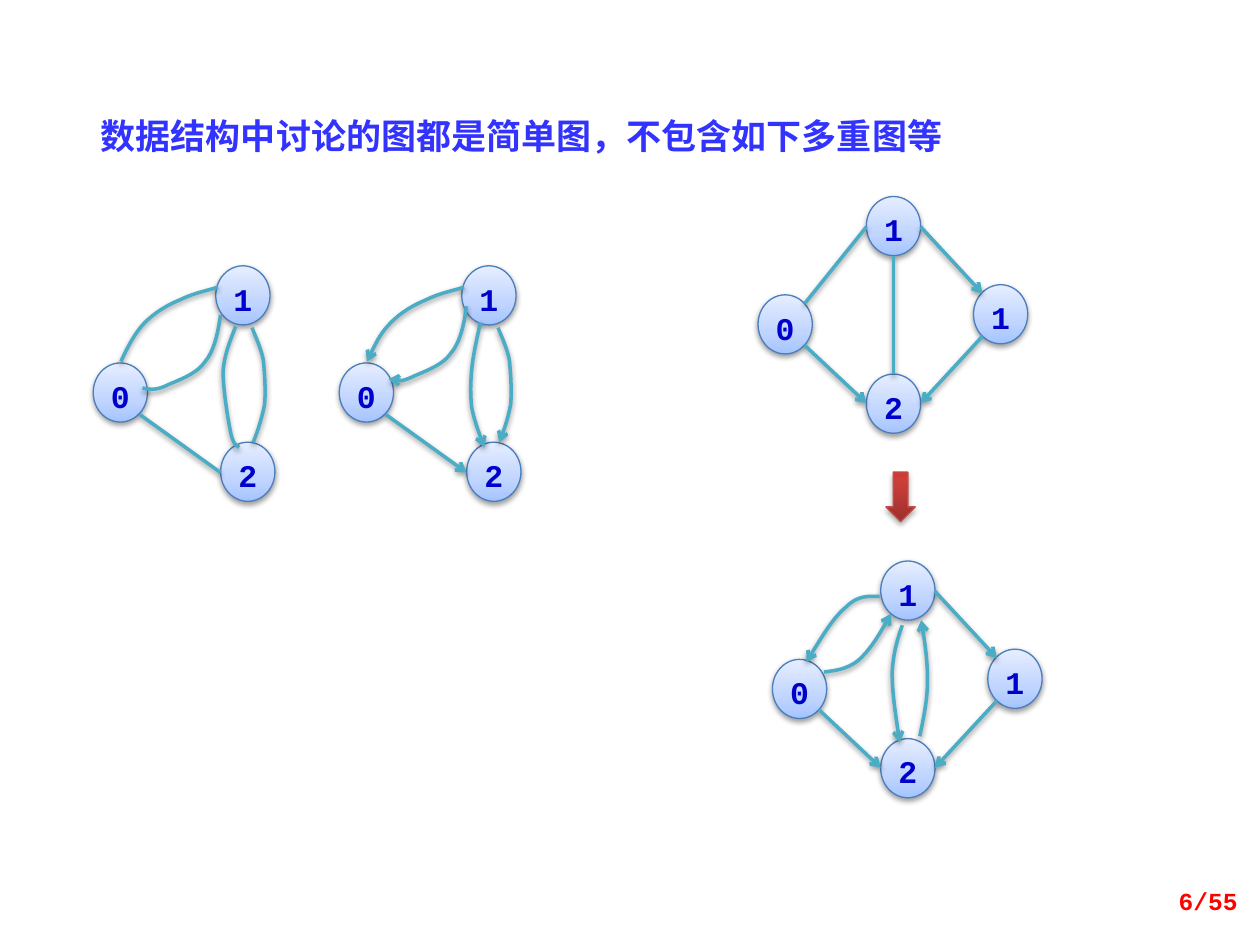
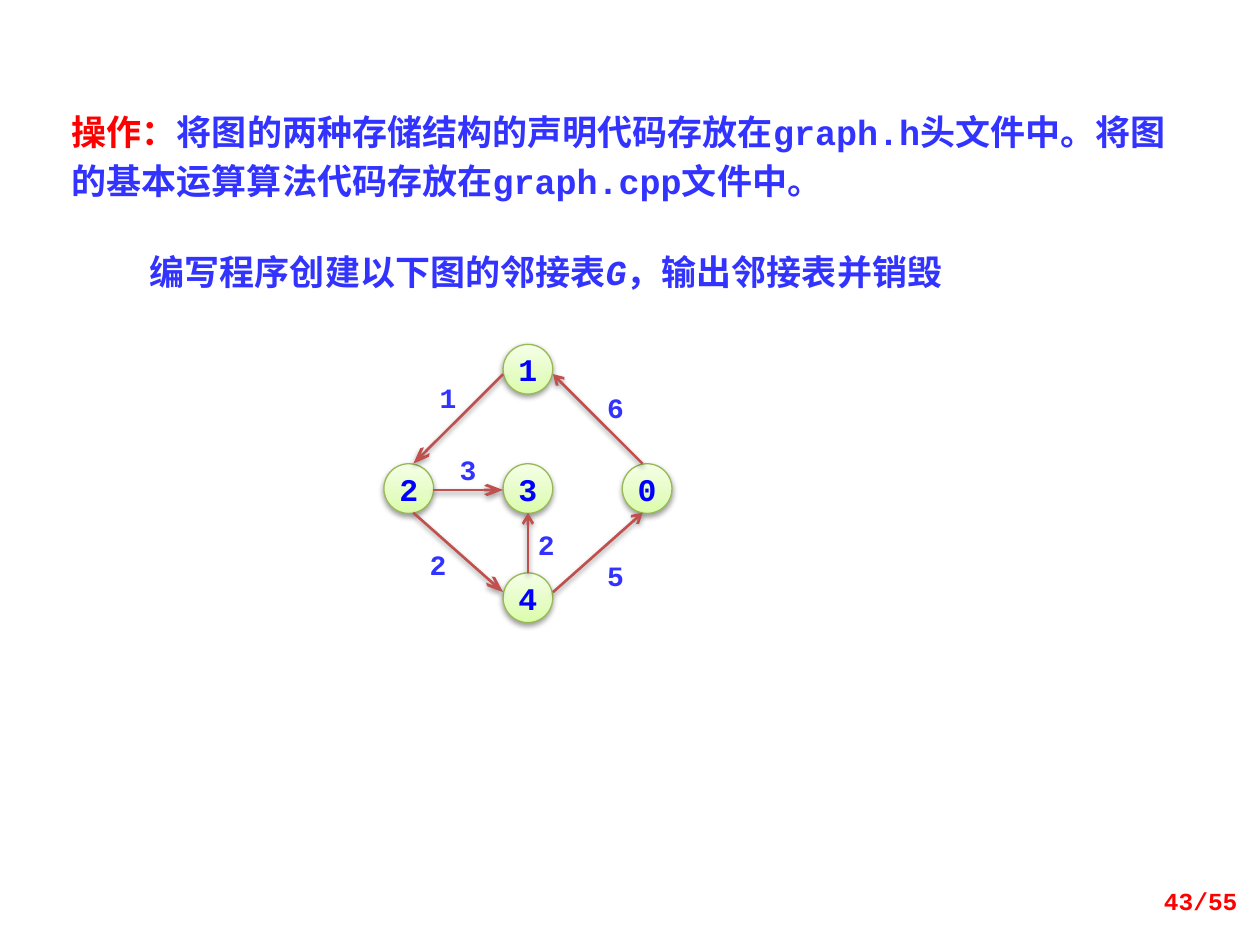
"""Build two slides on graphs: multigraphs to exclude, and an adjacency-list exercise."""
import pptx
import pptx.util
import pptx.dml.color
import pptx.enum.shapes
import pptx.enum.text
import pptx.oxml.ns
import lxml.etree

Pt = pptx.util.Pt
qn = pptx.oxml.ns.qn
ALIGN = pptx.enum.text.PP_ALIGN
ANCHOR = pptx.enum.text.MSO_ANCHOR
SHAPE = pptx.enum.shapes.MSO_SHAPE

COLORS = {
    "text": "3333FF", "accent": "FF0000", "shadow": "000000",
    "blue_label": "0000CC", "blue_outline": "4B7EBC", "edge": "4BACC6",
    "green_label": "0000FF", "green_outline": "98B955", "weighted_edge": "C0504D",
    "arrow_outline": "BF4C48",
}
GRADIENTS = {
    "blue": ((0, "A4C4FF"), (35, "BFD4FF"), (100, "E6EEFF")),
    "green": ((0, "DAFDA7"), (35, "E4FCC2"), (100, "F5FFE7")),
    "red": ((0, "9C2F2D"), (80, "CB3E3A"), (100, "CE3B37")),
}
MONO = "Courier New"
CJK = "Noto Sans CJK SC"

TRIANGLE = (("0", 0, 55.5), ("1", 70, 0), ("2", 72.8, 100.8))
DIAMOND = (("0", 0, 56.2), ("1", 61.9, 0), ("2", 61.9, 101.5), ("1", 123.1, 50.4))

UPPER_CURVE = ((15.8, 54.7), (19.4, 46.8), (23.8, 38.2), (29.5, 32.4), (35.3, 26.6),
               (42.5, 22.3), (49.7, 19.4), (56.9, 15.8), (64.1, 14.4), (71.3, 12.2))
LOWER_CURVE = ((72.7, 28.1), (71.3, 38.2), (69.1, 49), (63.4, 55.4), (58.3, 62.6),
               (46.1, 66.2), (40.3, 69.1), (34.6, 71.3), (31, 70.6), (28.1, 69.8))
RIGHT_CURVE = ((90.7, 35.3), (92.9, 41), (95.8, 46.8), (97.2, 54), (97.9, 61.2),
               (98.6, 71.3), (97.9, 79.2), (96.5, 86.4), (94.3, 93.6), (91.4, 100.8))
PLAIN_LEFT_CURVE = ((81.4, 34.6), (78.5, 42.5), (74.9, 50.4), (74.2, 60.5), (74.2, 70.6),
                    (77, 87.8), (78.5, 95), (79.9, 102.2), (82.1, 103), (83.5, 103.7))
DIRECTED_LEFT_CURVE = ((80.6, 32.4), (78.5, 41.8), (76.3, 51.8), (75.6, 59.8), (74.9, 67.7),
                       (74.9, 73.4), (75.6, 80.6), (77, 87.8), (79.9, 95.8), (82.8, 103.7))
PAIRED_CURVES = (
    ((61.2, 20.2), (55.4, 20.2), (49, 19.4), (42.5, 25.9), (35.3, 31.7), (27.4, 44.6), (19.4, 57.6)),
    ((29.5, 63.4), (36, 62.6), (42.5, 61.9), (49, 56.9), (55.4, 51.1), (61.9, 41), (67.7, 30.2)),
    ((74.2, 36.7), (71.3, 44.6), (69.1, 52.6), (68.4, 63.4), (68.4, 74.9), (70.6, 89.3), (72.7, 103.7)),
    ((84.2, 100.1), (86.4, 89.3), (88.6, 79.2), (88.6, 68.4), (88.6, 57.6), (87.1, 46.1), (85, 33.8)),
)
TRIANGLE_BASE = ((26.6, 85), (72.7, 118.1))
DIAMOND_ARROWS = (((26.6, 85), (61.9, 118.1)), ((128.2, 79.9), (92.9, 118.1)),
                  ((92.9, 17.3), (128.2, 55.4)))
DIAMOND_PLAIN = (((26.6, 61.2), (61.9, 17.3)), ((77.4, 33.8), (77.4, 101.5)))


def rgb(name):
    """Return the named colour."""
    return pptx.dml.color.RGBColor.from_string(COLORS[name])


def shift(points, origin):
    """Move points by the origin."""
    return [(x + origin[0], y + origin[1]) for x, y in points]


def add_xml(parent, tag, **attributes):
    """Append a DrawingML element with the given attributes."""
    element = lxml.etree.SubElement(parent, qn("a:" + tag))
    for key, value in attributes.items():
        element.set(key, str(value))
    return element


def add_color(parent, value):
    """Append a colour element."""
    return add_xml(parent, "srgbClr", val=value)


def add_shadow(part, opacity=38, distance=1.57):
    """Give a shape or connector a soft shadow below."""
    effects = add_xml(part.element.spPr, "effectLst")
    shadow = add_xml(effects, "outerShdw", blurRad=Pt(3.15), dist=Pt(distance),
                     dir=5400000, rotWithShape=0)
    add_xml(add_color(shadow, COLORS["shadow"]), "alpha", val=opacity * 1000)


def fill_gradient(shape, stops):
    """Fill a shape with upward gradient stops."""
    shape.fill.gradient()
    shape.fill.gradient_angle = 90
    stop_list = shape.element.spPr.find(".//" + qn("a:gsLst"))
    for old_stop in list(stop_list):
        stop_list.remove(old_stop)
    for position, value in stops:
        add_color(add_xml(stop_list, "gs", pos=position * 1000), value)


def style_run(run, size, color, font=MONO, bold=True, italic=False):
    """Format a run, with the shared East Asian font."""
    run.font.size = Pt(size)
    run.font.bold = bold
    run.font.italic = italic
    run.font.color.rgb = rgb(color)
    run.font.name = font
    add_xml(run._r.get_or_add_rPr(), "ea", typeface=CJK)


def write_line(frame, text, size, color, font=MONO, align=ALIGN.LEFT):
    """Write one formatted paragraph."""
    frame.text = text
    paragraph = frame.paragraphs[0]
    paragraph.alignment = align
    style_run(paragraph.runs[0], size, color, font)
    return paragraph


def append_run(paragraph, text, size, color, **style):
    """Add a formatted run to a paragraph."""
    run = paragraph.add_run()
    run.text = text
    style_run(run, size, color, **style)


def add_label(slide, box, text, size, color, align, font=MONO, anchor=ANCHOR.TOP):
    """Add a wrapping text box and return its paragraph."""
    frame = slide.shapes.add_textbox(*map(Pt, box)).text_frame
    frame.word_wrap = True
    frame.vertical_anchor = anchor
    return write_line(frame, text, size, color, font, align)


def add_heading(slide, box, text, color, font=MONO):
    """Place the title placeholder and return its paragraph."""
    title = slide.shapes.title
    title.left, title.top, title.width, title.height = map(Pt, box)
    frame = title.text_frame
    frame.word_wrap = True
    frame.auto_size = pptx.enum.text.MSO_AUTO_SIZE.NONE
    frame.vertical_anchor = ANCHOR.TOP
    return write_line(frame, text, 20, color, font)


def add_page_number(slide, number):
    """Add the page number at the lower right."""
    add_label(slide, (546.5, 500.4, 167.8, 28.8), f"{number}/55", 14, "accent",
              ALIGN.RIGHT, anchor=ANCHOR.MIDDLE)


def add_solid(slide, kind, box, gradient, outline, **shadow):
    """Add a gradient-filled shape with an outline and shadow."""
    shape = slide.shapes.add_shape(kind, *map(Pt, box))
    fill_gradient(shape, GRADIENTS[gradient])
    shape.line.color.rgb = rgb(outline)
    shape.line.width = Pt(0.75)
    add_shadow(shape, **shadow)
    return shape


def add_blue_node(slide, label, x, y):
    """Add a vertex of a multigraph."""
    node = add_solid(slide, SHAPE.OVAL, (x, y, 31, 33.8), "blue", "blue_outline")
    frame = node.text_frame
    frame.margin_left = frame.margin_right = frame.margin_bottom = 0
    frame.margin_top = Pt(8.5)
    frame.vertical_anchor = ANCHOR.TOP
    write_line(frame, label, 18, "blue_label", align=ALIGN.CENTER).line_spacing = 0.72


def add_green_node(slide, label, x, y):
    """Add a vertex of the weighted graph."""
    node = add_solid(slide, SHAPE.OVAL, (x, y, 28.4, 28.4), "green", "green_outline")
    frame = node.text_frame
    frame.word_wrap = False
    frame.vertical_anchor = ANCHOR.MIDDLE
    write_line(frame, label, 18, "green_label", align=ALIGN.CENTER)


def style_edge(edge, color, width, arrow, length="med"):
    """Set an edge's colour, width, arrowhead and shadow."""
    edge.line.color.rgb = rgb(color)
    edge.line.width = Pt(width)
    if arrow:
        add_xml(edge.line._get_or_add_ln(), "tailEnd", type="arrow", w="med", len=length)
    add_shadow(edge)


def add_edge(slide, ends, arrow=True, color="edge", width=2, length="med"):
    """Add a straight edge."""
    (x1, y1), (x2, y2) = ends
    edge = slide.shapes.add_connector(pptx.enum.shapes.MSO_CONNECTOR.STRAIGHT,
                                      Pt(x1), Pt(y1), Pt(x2), Pt(y2))
    style_edge(edge, color, width, arrow, length)


def add_curve(slide, points, arrow=True):
    """Add a curved edge from a start point and triples of Bezier points."""
    start, *rest = [(Pt(x), Pt(y)) for x, y in points]
    builder = slide.shapes.build_freeform(*start)
    builder.add_line_segments(rest, close=False)
    edge = builder.convert_to_shape()
    outline = edge.element.spPr.find(".//" + qn("a:path"))
    segments = outline.findall(qn("a:lnTo"))
    for first in range(0, len(segments), 3):
        bezier = add_xml(outline, "cubicBezTo")
        for segment in segments[first:first + 3]:
            bezier.append(segment[0])
            outline.remove(segment)
    edge.fill.background()
    style_edge(edge, "edge", 2, arrow)


def add_graph(slide, origin, nodes, plain=(), arrows=()):
    """Add a graph whose edges are lines of two points or longer curves."""
    for label, x, y in nodes:
        add_blue_node(slide, label, x + origin[0], y + origin[1])
    for edges, arrow in ((plain, False), (arrows, True)):
        for points in edges:
            draw = add_edge if len(points) == 2 else add_curve
            draw(slide, shift(points, origin), arrow)


def build_multigraphs(slide):
    """Build the slide of excluded multigraphs."""
    add_heading(slide, (50.4, 61.9, 534.2, 31.7),
                "数据结构中讨论的图都是简单图，不包含如下多重图等", "text", CJK)
    add_graph(slide, (53.3, 151.9), TRIANGLE,
              plain=(LOWER_CURVE, UPPER_CURVE, PLAIN_LEFT_CURVE, RIGHT_CURVE, TRIANGLE_BASE))
    add_graph(slide, (193.9, 151.9), TRIANGLE,
              arrows=(UPPER_CURVE[::-1], shift(LOWER_CURVE, (0, -5)), RIGHT_CURVE,
                      TRIANGLE_BASE, DIRECTED_LEFT_CURVE))
    add_graph(slide, (433.2, 112.3), DIAMOND, DIAMOND_PLAIN, DIAMOND_ARROWS)
    add_solid(slide, SHAPE.DOWN_ARROW, (506.2, 269.8, 16.8, 28.3), "red", "arrow_outline",
              opacity=35, distance=1.81)
    add_graph(slide, (441.4, 320.6), DIAMOND, arrows=DIAMOND_ARROWS + PAIRED_CURVES)
    add_page_number(slide, 6)


def build_exercise(slide):
    """Build the adjacency-list exercise slide."""
    left, middle, right = (219.4 + 68.1 * column for column in range(3))
    for label, x, y in (("1", middle, 196.8), ("3", middle, 265), ("2", left, 265),
                        ("0", right, 265), ("4", middle, 327.4)):
        add_green_node(slide, label, x, y)
    for ends, length in ((((287.5, 213.8), (236.2, 265)), "lg"),
                         (((247.7, 280), (287.5, 280)), "lg"),
                         (((236.2, 293), (287.5, 338.4)), "lg"),
                         (((367.2, 265), (316, 213.8)), "med"),
                         (((301.7, 327.4), (301.7, 293)), "med"),
                         (((316, 338.4), (367.2, 293)), "med")):
        add_edge(slide, ends, color="weighted_edge", width=1.5, length=length)
    for weight, x, y in (("1", 241.9, 213.8), ("3", 253.4, 254.9), ("2", 236.2, 309.6),
                         ("2", 298.1, 298.1), ("5", 337.7, 315.4), ("6", 337.7, 219.6)):
        add_label(slide, (x, y, 28.1, 26.6), weight, 16, "text", ALIGN.CENTER)

    task = add_heading(slide, (33.8, 55.4, 652.3, 64.1), "操作：", "accent")
    task.line_spacing = Pt(28)
    append_run(task, "将图的两种存储结构的声明代码存放在graph.h头文件中。"
                     "将图的基本运算算法代码存放在graph.cpp文件中。", 20, "text")
    goal = add_label(slide, (78.5, 139.7, 495.4, 31.7), "编写程序创建以下图的", 20, "text",
                     ALIGN.LEFT, "Times New Roman")
    append_run(goal, "邻接表", 20, "text")
    append_run(goal, "G", 20, "text", italic=True)
    append_run(goal, "，输出邻接表并销毁", 20, "text")
    add_page_number(slide, 43)


def main():
    """Build and save both slides."""
    deck = pptx.Presentation()
    deck.slide_width, deck.slide_height = Pt(720), Pt(540)
    for build in (build_multigraphs, build_exercise):
        build(deck.slides.add_slide(deck.slide_layouts[5]))
    deck.save("out.pptx")


if __name__ == "__main__":
    main()
